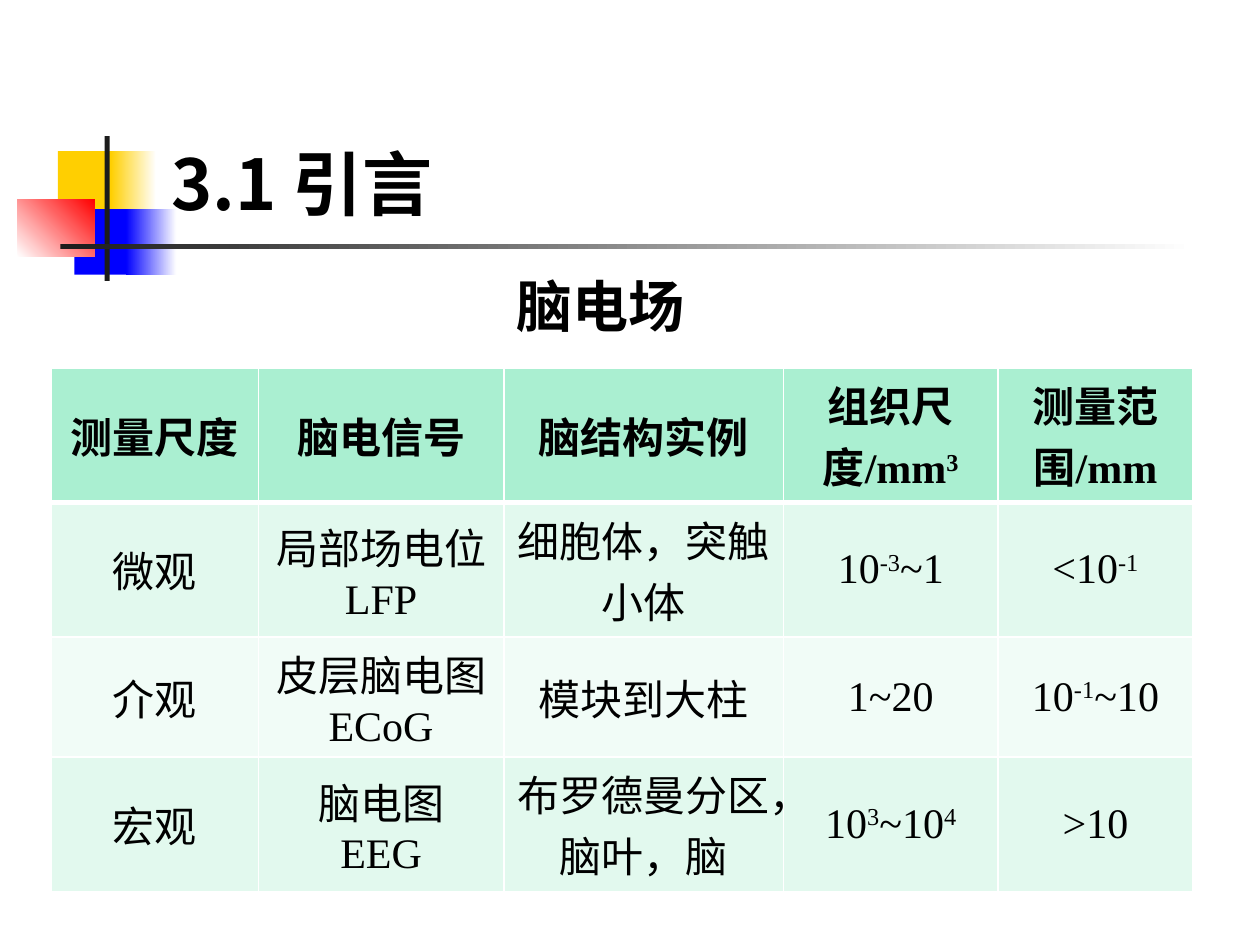
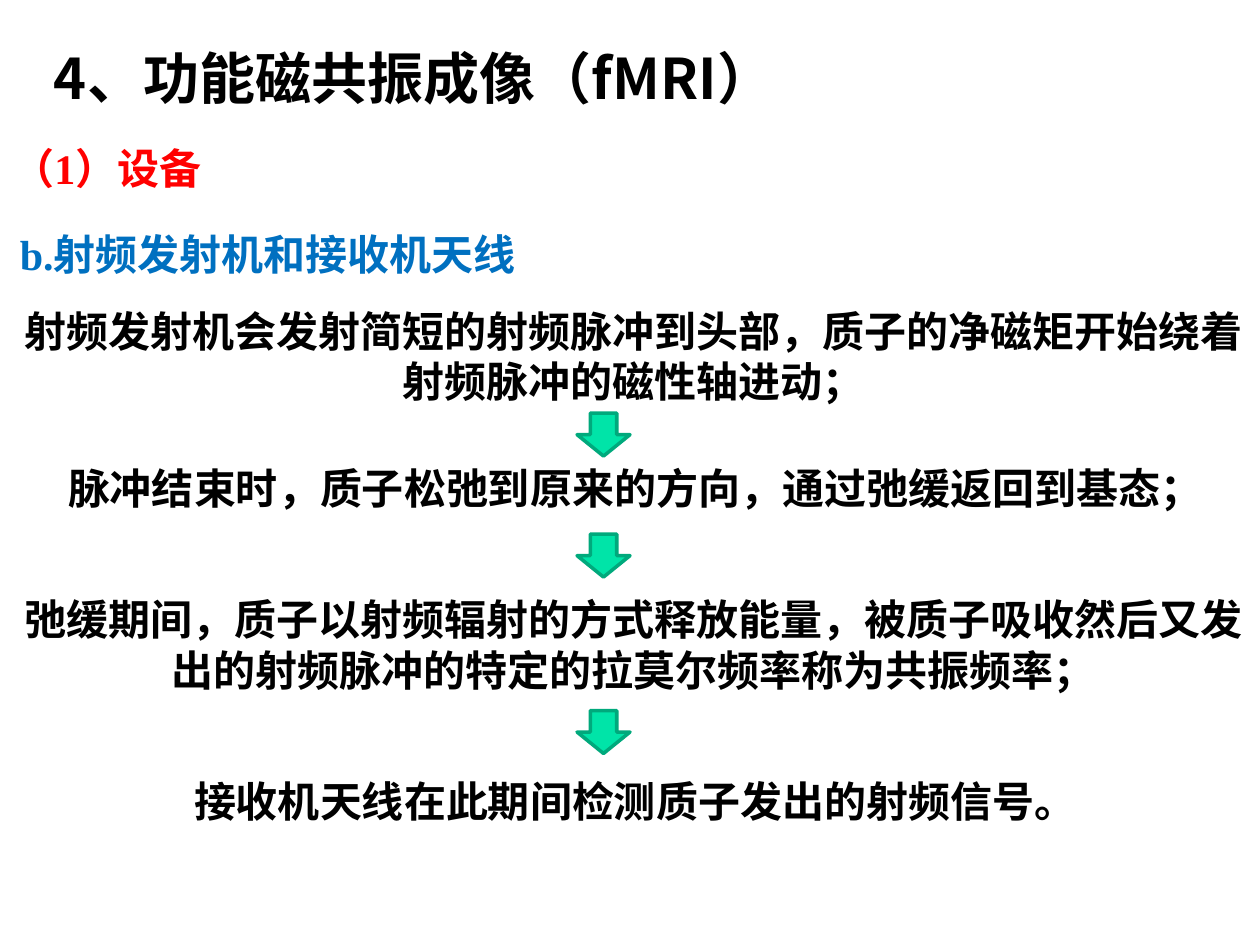
"""Build two lecture slides: scales of brain electric fields and the fMRI radio-frequency sequence."""
from dataclasses import dataclass
from typing import Any, Optional

import pptx
import pptx.dml.color
import pptx.enum.shapes
import pptx.enum.text
import pptx.oxml.ns
import pptx.util
from lxml import etree

RGBColor = pptx.dml.color.RGBColor
Align = pptx.enum.text.PP_ALIGN
Anchor = pptx.enum.text.MSO_ANCHOR
Preset = pptx.enum.shapes.MSO_SHAPE
qn = pptx.oxml.ns.qn

EMU_PER_PX = 9144
BLANK_LAYOUT = 6

BLACK = RGBColor(0x00, 0x00, 0x00)
WHITE = RGBColor(0xFF, 0xFF, 0xFF)
RED = RGBColor(0xFF, 0x00, 0x00)
YELLOW = RGBColor(0xFF, 0xCF, 0x01)
BLUE = RGBColor(0x00, 0x00, 0xFF)
CHARCOAL = RGBColor(0x1C, 0x1C, 0x1C)
HEADING_BLUE = RGBColor(0x00, 0x70, 0xC0)
ARROW_FILL = RGBColor(0x00, 0xE4, 0xA8)
ARROW_LINE = RGBColor(0x00, 0xA9, 0x7C)
HEADER_FILL = RGBColor(0xAA, 0xEF, 0xD1)
BAND_FILLS = (RGBColor(0xF1, 0xFC, 0xF7), RGBColor(0xE2, 0xF9, 0xEE))

TITLE_FONT = "Noto Sans CJK SC"
BODY_FONT = "Times New Roman"
BODY_SIZE = 24
BODY_LEADING = 29


@dataclass(frozen=True)
class Box:
    """Position and size in px."""
    left: int
    top: int
    width: int
    height: int

    def emu(self) -> tuple[int, ...]:
        """Return the four lengths in EMU."""
        return tuple(px(n) for n in (self.left, self.top, self.width, self.height))


@dataclass(frozen=True)
class Block:
    """A filled ornament, fading to a second colour when one is given."""
    box: Box
    color: RGBColor
    fade_to: Optional[RGBColor] = None
    angle: int = 0


@dataclass(frozen=True)
class Title:
    """A bold heading that sits on the bottom of its box."""
    box: Box
    text: str
    size: int


@dataclass(frozen=True)
class Statement:
    """A bold body text."""
    box: Box
    text: str
    color: RGBColor = BLACK
    align: Any = Align.CENTER


ORNAMENT = (
    Block(Box(46, 120, 48, 52), YELLOW),
    Block(Box(88, 120, 36, 52), YELLOW, WHITE),
    Block(Box(59, 166, 46, 52), BLUE),
    Block(Box(100, 166, 40, 52), BLUE, WHITE),
    Block(Box(14, 158, 61, 46), WHITE, RED, 45),
    Block(Box(83, 108, 4, 115), CHARCOAL),
    Block(Box(48, 194, 900, 4), CHARCOAL, WHITE),
)
FIELD_TITLES = (
    Title(Box(126, 23, 852, 160), "3.1 引言", 40),
    Title(Box(400, 208, 225, 66), "脑电场", 32),
)
FMRI_TITLE = Title(Box(33, 33, 750, 60), "4、功能磁共振成像（fMRI）", 32)

TABLE_LEFT, TABLE_TOP = 41, 292
COLUMN_WIDTHS = (164, 195, 222, 170, 155)
ROW_HEIGHTS = (95, 95, 91, 95)
SCALES = (
    ("测量尺度", "脑电信号", "脑结构实例", "组织尺度/mm^3^", "测量范围/mm"),
    ("微观", "局部场电位LFP", "细胞体，突触小体", "10^-3^~1", "<10^-1^"),
    ("介观", "皮层脑电图\nECoG", "模块到大柱", "1~20", "10^-1^~10"),
    ("宏观", "脑电图\nEEG", "布罗德曼分区，脑叶，脑", "10^3^~10^4^", ">10"),
)

STATEMENTS = (
    Statement(Box(0, 108, 1000, 50), "（1）设备", RED, Align.LEFT),
    Statement(Box(6, 176, 994, 50), "b.射频发射机和接收机天线", HEADING_BLUE, Align.LEFT),
    Statement(Box(6, 237, 994, 91),
              "射频发射机会发射简短的射频脉冲到头部，质子的净磁矩开始绕着射频脉冲的磁性轴进动；"),
    Statement(Box(7, 362, 994, 50), "脉冲结束时，质子松弛到原来的方向，通过弛缓返回到基态；"),
    Statement(Box(6, 466, 994, 91),
              "弛缓期间，质子以射频辐射的方式释放能量，被质子吸收然后又发出的射频脉冲的特定的拉莫尔频率称为共振频率；"),
    Statement(Box(7, 610, 994, 50), "接收机天线在此期间检测质子发出的射频信号。"),
)
ARROW_TOPS = (328, 424, 564)


def px(length: int) -> int:
    """Convert px to EMU."""
    return length * EMU_PER_PX


def style_paragraph(paragraph: Any, font_name: str, size: int, color: RGBColor,
                    bold: bool, align: Any) -> None:
    """Set alignment and the Latin and East Asian font of a paragraph."""
    paragraph.alignment = align
    font = paragraph.font
    font.name, font.size, font.bold = font_name, pptx.util.Pt(size), bold
    font.color.rgb = color
    latin = paragraph._p.find(".//" + qn("a:latin"))
    east_asian = etree.Element(qn("a:ea"), typeface=TITLE_FONT)
    latin.addnext(east_asian)


def add_preset(slide: Any, preset: Any, box: Box, fill: RGBColor) -> Any:
    """Add a flat preset shape without outline."""
    shape = slide.shapes.add_shape(preset, *box.emu())
    shape.shadow.inherit = False
    shape.fill.solid()
    shape.fill.fore_color.rgb = fill
    shape.line.fill.background()
    return shape


def add_block(slide: Any, block: Block) -> None:
    """Draw one ornament block."""
    shape = add_preset(slide, Preset.RECTANGLE, block.box, block.color)
    if block.fade_to is not None:
        shape.fill.gradient()
        shape.fill.gradient_angle = block.angle
        for stop, color in zip(shape.fill.gradient_stops, (block.color, block.fade_to)):
            stop.color.rgb = color


def add_title(slide: Any, title: Title) -> None:
    """Draw a heading."""
    frame = slide.shapes.add_textbox(*title.box.emu()).text_frame
    frame.word_wrap = True
    frame.vertical_anchor = Anchor.BOTTOM
    frame.text = title.text
    style_paragraph(frame.paragraphs[0], TITLE_FONT, title.size, BLACK, True, Align.LEFT)


def add_statement(slide: Any, statement: Statement) -> None:
    """Draw a body text on a white panel."""
    frame = add_preset(slide, Preset.RECTANGLE, statement.box, WHITE).text_frame
    frame.word_wrap = True
    frame.vertical_anchor = Anchor.TOP
    frame.text = statement.text
    paragraph = frame.paragraphs[0]
    paragraph.line_spacing = pptx.util.Pt(BODY_LEADING)
    style_paragraph(paragraph, BODY_FONT, BODY_SIZE, statement.color, True, statement.align)


def add_arrow(slide: Any, top: int) -> None:
    """Draw a down arrow between two statements."""
    arrow = add_preset(slide, Preset.DOWN_ARROW, Box(458, top, 42, 34), ARROW_FILL)
    arrow.line.color.rgb = ARROW_LINE
    arrow.line.width = pptx.util.Pt(2)


def set_borders(cell: Any, top: int, bottom: int) -> None:
    """Give a cell white borders, with top and bottom widths in points."""
    properties = cell._tc.get_or_add_tcPr()
    for side, width in (("L", 1), ("R", 1), ("T", top), ("B", bottom)):
        line = etree.SubElement(properties, qn(f"a:ln{side}"), w=str(pptx.util.Pt(width)))
        fill = etree.SubElement(line, qn("a:solidFill"))
        etree.SubElement(fill, qn("a:srgbClr"), val=str(WHITE))


def fill_cell(cell: Any, text: str, bold: bool) -> None:
    """Write cell text, one paragraph a line, raising what stands between carets."""
    frame = cell.text_frame
    for index, line in enumerate(text.split("\n")):
        paragraph = frame.add_paragraph() if index else frame.paragraphs[0]
        style_paragraph(paragraph, BODY_FONT, BODY_SIZE, BLACK, bold, Align.CENTER)
        for position, part in enumerate(line.split("^")):
            if part:
                run = paragraph.add_run()
                run.text = part
                if position % 2:
                    run.font._element.set("baseline", "30000")


def add_scale_table(slide: Any) -> None:
    """Draw the table of measuring scales."""
    box = Box(TABLE_LEFT, TABLE_TOP, sum(COLUMN_WIDTHS), sum(ROW_HEIGHTS))
    table = slide.shapes.add_table(len(SCALES), len(COLUMN_WIDTHS), *box.emu()).table
    table.first_row = table.horz_banding = False
    for column, width in zip(table.columns, COLUMN_WIDTHS):
        column.width = px(width)
    for row_index, (texts, height) in enumerate(zip(SCALES, ROW_HEIGHTS)):
        table.rows[row_index].height = px(height)
        is_header = row_index == 0
        for column_index, text in enumerate(texts):
            cell = table.cell(row_index, column_index)
            cell.vertical_anchor = Anchor.MIDDLE
            set_borders(cell, 3 if row_index == 1 else 1, 3 if is_header else 1)
            cell.fill.solid()
            cell.fill.fore_color.rgb = HEADER_FILL if is_header else BAND_FILLS[row_index % 2]
            fill_cell(cell, text, is_header)


def build_field_slide(slide: Any) -> None:
    """Build the slide on brain electric fields."""
    for block in ORNAMENT:
        add_block(slide, block)
    add_scale_table(slide)
    for title in FIELD_TITLES:
        add_title(slide, title)


def build_fmri_slide(slide: Any) -> None:
    """Build the slide on the radio-frequency sequence."""
    add_title(slide, FMRI_TITLE)
    for statement in STATEMENTS:
        add_statement(slide, statement)
    for top in ARROW_TOPS:
        add_arrow(slide, top)


def main() -> None:
    """Build and save the presentation."""
    presentation = pptx.Presentation()
    presentation.slide_width, presentation.slide_height = px(1000), px(750)
    for build in (build_field_slide, build_fmri_slide):
        build(presentation.slides.add_slide(presentation.slide_layouts[BLANK_LAYOUT]))
    presentation.save("out.pptx")


if __name__ == "__main__":
    main()
